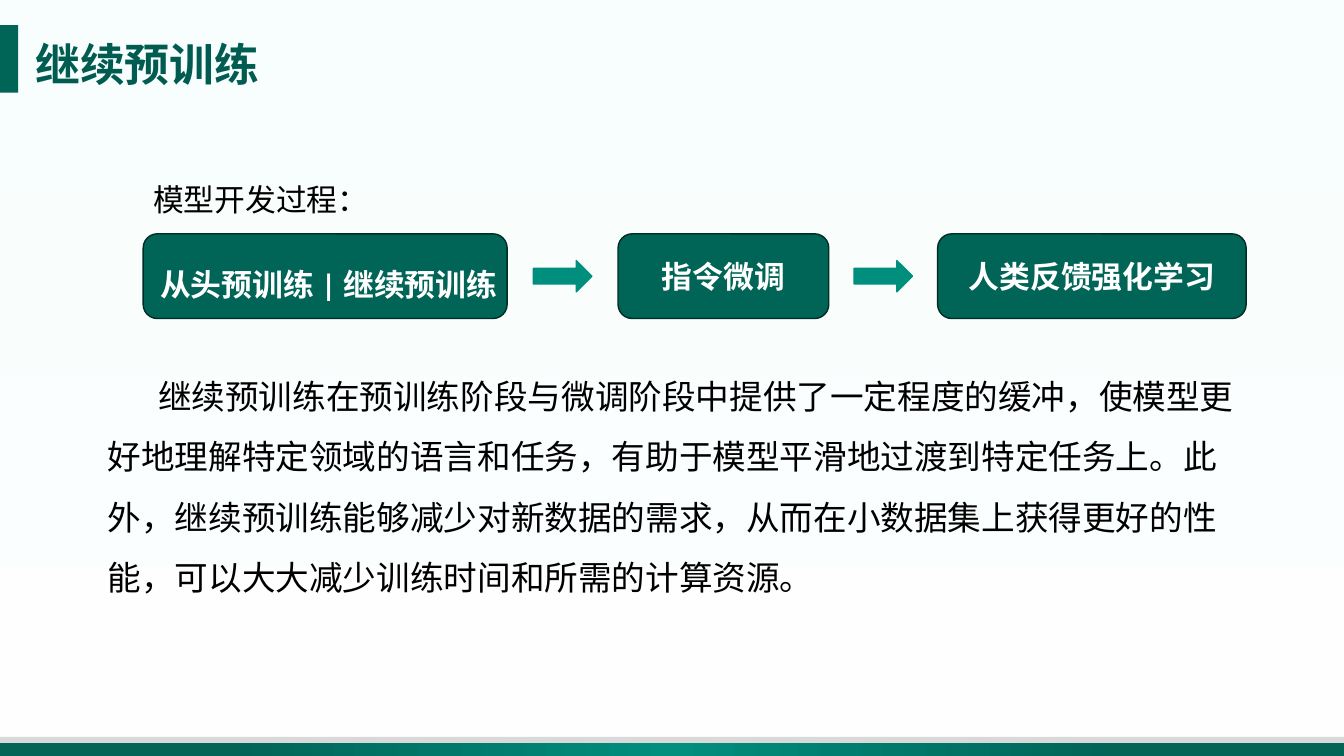
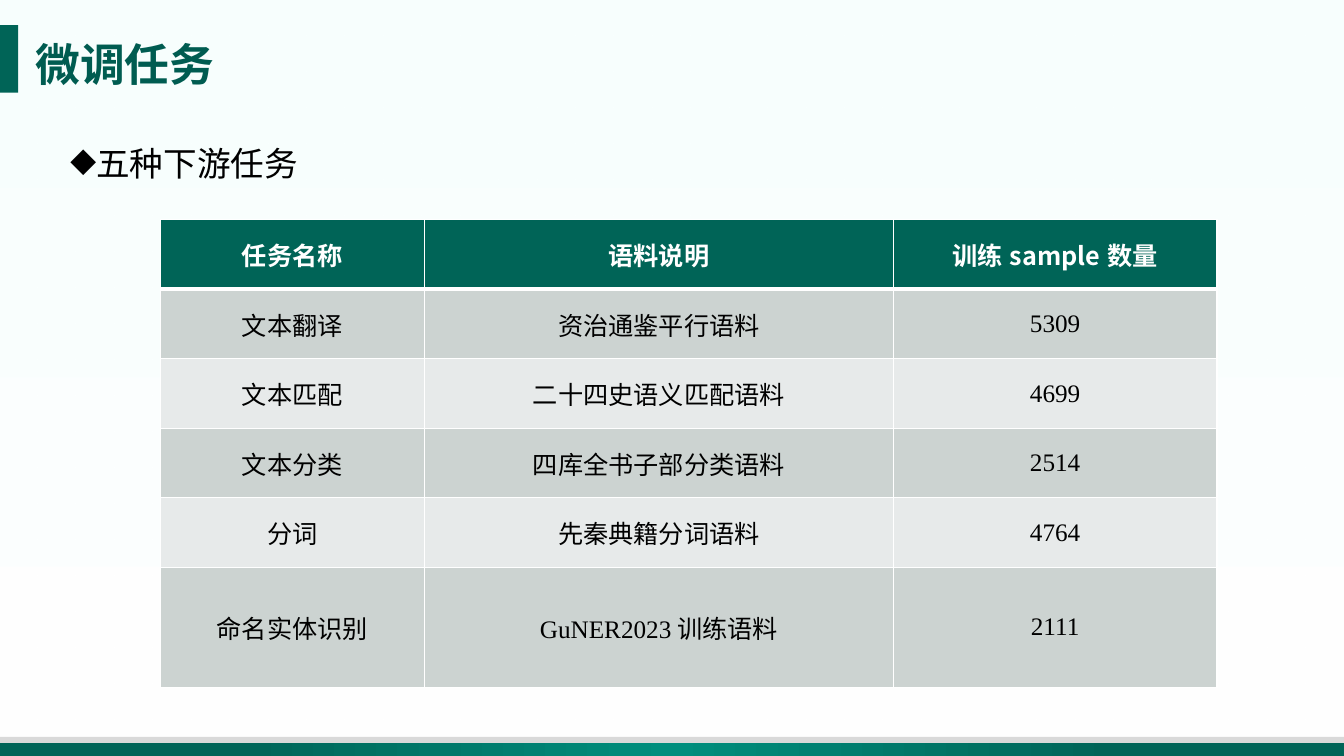
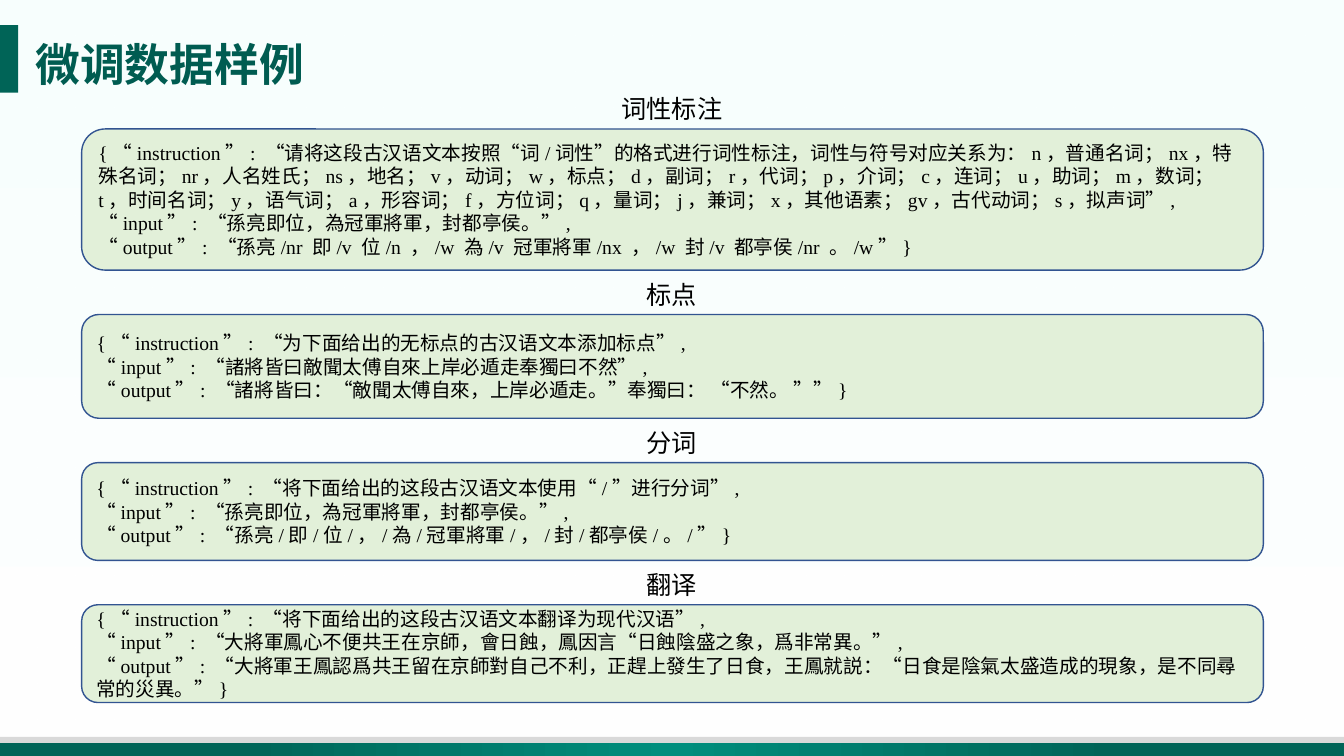
from lxml import etree
from pptx import Presentation
from pptx.dml.color import RGBColor
from pptx.enum.shapes import MSO_SHAPE
from pptx.enum.text import MSO_ANCHOR, MSO_AUTO_SIZE, PP_ALIGN
from pptx.oxml.ns import qn
from pptx.util import Inches, Pt

RECT, ROUNDED, ARROW = MSO_SHAPE.RECTANGLE, MSO_SHAPE.ROUNDED_RECTANGLE, MSO_SHAPE.RIGHT_ARROW
LEFT, CENTER = PP_ALIGN.LEFT, PP_ALIGN.CENTER
TOP, MIDDLE = MSO_ANCHOR.TOP, MSO_ANCHOR.MIDDLE
GROW = MSO_AUTO_SIZE.SHAPE_TO_FIT_TEXT

# Shared look
WIDTH, HEIGHT = 13.33, 7.5
GREEN, TEAL, TITLE_GREEN, DARK_LINE = "006457", "008E7D", "005C51", "002C26"
WHITE, BLACK, GREY = "FFFFFF", "000000", "D9D9D9"
PALE_GREEN, BLUE_LINE = "E2F0D9", "325491"
ROW_FILLS = ("CCD3D1", "E7EAEA")
SANS, BODY, SERIF = "Noto Sans CJK SC", "Calibri", "Times New Roman"

TITLE = {"size": Pt(32), "bold": True, "name": SANS, "color": TITLE_GREEN}
PROSE = {"size": Pt(24), "bold": False, "name": BODY, "color": BLACK}
BULLET = {**PROSE, "name": SANS}
LEAD = {**PROSE, "size": Pt(22)}
STEP = {**LEAD, "bold": True, "color": WHITE}
HEADING = {**BULLET, "size": Pt(18)}
TABLE_HEAD = {**HEADING, "bold": True, "color": WHITE}
TABLE_BODY = {**HEADING, "name": SERIF}
SAMPLE = {**TABLE_BODY, "size": Pt(14)}

# Slide content
STEPS = [(1.42, 3.61, ""), (6.13, 2.09, "指令微调"), (9.3, 3.06, "人类反馈强化学习")]
SUMMARY = (
    "继续预训练在预训练阶段与微调阶段中提供了一定程度的缓冲，使模型更好地理解特定领域的语言和任务，"
    "有助于模型平滑地过渡到特定任务上。此外，继续预训练能够减少对新数据的需求，"
    "从而在小数据集上获得更好的性能，可以大大减少训练时间和所需的计算资源。"
)
TASKS = [
    ("任务名称", "语料说明", "训练sample数量"),
    ("文本翻译", "资治通鉴平行语料", "5309"),
    ("文本匹配", "二十四史语义匹配语料", "4699"),
    ("文本分类", "四库全书子部分类语料", "2514"),
    ("分词", "先秦典籍分词语料", "4764"),
    ("命名实体识别", "GuNER2023训练语料", "2111"),
]
SAMPLES = [
    ("词性标注", 1.4, [
        "{“instruction”: “请将这段古汉语文本按照“词/词性”的格式进行词性标注，词性与符号对应关系为："
        "n，普通名词；nx，特殊名词；nr，人名姓氏；ns，地名；v，动词；w，标点；d，副词；r，代词；"
        "p，介词；c，连词；u，助词；m，数词；t，时间名词；y，语气词；a，形容词；f，方位词；"
        "q，量词；j，兼词；x，其他语素；gv，古代动词；s，拟声词”,",
        "“input”: “孫亮即位，為冠軍將軍，封都亭侯。”,",
        "“output”: “孫亮/nr 即/v 位/n ，/w 為/v 冠軍將軍/nx ，/w 封/v 都亭侯/nr 。/w”}",
    ]),
    ("标点", 1.03, [
        "{“instruction”: “为下面给出的无标点的古汉语文本添加标点”,",
        "“input”: “諸將皆曰敵聞太傅自來上岸必遁走奉獨曰不然”,",
        "“output”: “諸將皆曰：“敵聞太傅自來，上岸必遁走。”奉獨曰： “不然。 ””}",
    ]),
    ("分词", 0.97, [
        "{“instruction”: “将下面给出的这段古汉语文本使用“/”进行分词”,",
        "“input”: “孫亮即位，為冠軍將軍，封都亭侯。”,",
        "“output”: “孫亮/即/位/，/為/冠軍將軍/，/封/都亭侯/。/”}",
    ]),
    ("翻译", 0.97, [
        "{“instruction”: “将下面给出的这段古汉语文本翻译为现代汉语”,",
        "“input”: “大將軍鳳心不便共王在京師，會日蝕，鳳因言“日蝕陰盛之象，爲非常異。”,",
        "“output”: “大將軍王鳳認爲共王留在京師對自己不利，正趕上發生了日食，王鳳就説："
        "“日食是陰氣太盛造成的現象，是不同尋常的災異。”}",
    ]),
]


def color(value):
    return RGBColor.from_string(value)


def add_node(parent, tag, index=None, **attributes):
    """Add a DrawingML element, last or at an index."""
    node = etree.Element(qn(tag), {key: str(value) for key, value in attributes.items()})
    parent.insert(len(parent) if index is None else index, node)
    return node


def write(frame, lines, style, align=LEFT, anchor=TOP, spacing=None, indent=None, bullet=None):
    """Fill a text frame; indent is (left margin, first line) in inches."""
    frame.vertical_anchor = anchor
    for number, line in enumerate(lines):
        para = frame.paragraphs[0] if number == 0 else frame.add_paragraph()
        para.alignment = align
        if spacing:
            para.line_spacing = spacing
        properties = para._p.get_or_add_pPr()
        if indent:
            for key, length in zip(("marL", "indent"), indent):
                properties.set(key, str(Inches(length)))
        if bullet:
            add_node(properties, "a:buChar", char=bullet)
        span = para.add_run()
        span.text = line
        for key, value in style.items():
            if key == "color":
                span.font.color.rgb = color(value)
            else:
                setattr(span.font, key, value)
        add_node(span.font._element, "a:ea", typeface=SANS)


def add_text(page, place, text, style, **layout):
    box = page.shapes.add_textbox(*map(Inches, place))
    box.text_frame.word_wrap = True
    box.text_frame.auto_size = GROW
    write(box.text_frame, [text], style, **layout)


def add_box(page, kind, place, fill, line=None):
    box = page.shapes.add_shape(kind, *map(Inches, place))
    box.shadow.inherit = False
    box.fill.solid()
    box.fill.fore_color.rgb = color(fill)
    if line:
        box.line.color.rgb = color(line)
        box.line.width = Pt(1)
    else:
        box.line.fill.background()
    return box


def set_gradient(box, stops, angle):
    """Replace a solid fill by stops of (position %, colour, opacity %)."""
    solid = box._element.spPr.find(qn("a:solidFill"))
    gradient = etree.Element(qn("a:gradFill"), rotWithShape="1")
    stop_list = add_node(gradient, "a:gsLst")
    for position, value, opacity in stops:
        stop = add_node(stop_list, "a:gs", pos=position * 1000)
        shade = add_node(stop, "a:srgbClr", val=value)
        if opacity < 100:
            add_node(shade, "a:alpha", val=opacity * 1000)
    add_node(gradient, "a:lin", ang=angle * 60000, scaled=0)
    solid.getparent().replace(solid, gradient)


def decorate_layout(page):
    """Draw the backdrop, bands and title mark, then move them to the layout."""
    backdrop = add_box(page, RECT, (0, 0, WIDTH, HEIGHT), WHITE)
    set_gradient(backdrop, [(0, "F7FFFE", 83), (100, WHITE, 90)], 90)
    rule = add_box(page, RECT, (0, 7.31, WIDTH, 0.07), GREY)
    band = add_box(page, RECT, (0, 7.37, WIDTH, 0.13), GREEN)
    set_gradient(band, [(17, GREEN, 100), (50, TEAL, 100), (83, GREEN, 100)], 0)
    mark = add_box(page, RECT, (0, 0.25, 0.18, 0.67), GREEN)
    for index, box in enumerate((backdrop, rule, band, mark), start=2):
        page.slide_layout.shapes.element.insert(index, box.element)


def add_page(deck, title):
    page = deck.slides.add_slide(deck.slide_layouts[5])
    box = page.shapes.title
    place = (0.25, 0.37, 0.2 + 0.45 * len(title), 0.59)
    for key, length in zip(("left", "top", "width", "height"), place):
        setattr(box, key, Inches(length))
    box.text_frame.word_wrap = False
    box.text_frame.auto_size = GROW
    write(box.text_frame, [title], TITLE, anchor=MIDDLE, spacing=0.9)
    return page


def add_steps(page, top=2.32, height=0.84):
    """Draw the process boxes with an arrow centred in each gap."""
    for left, width, label in STEPS:
        box = add_box(page, ROUNDED, (left, top, width, height), GREEN, DARK_LINE)
        if label:
            write(box.text_frame, [label], STEP, align=CENTER, anchor=MIDDLE)
    length, thickness = 0.58, 0.31
    for (left, width, _), (following, _, _) in zip(STEPS, STEPS[1:]):
        start = (left + width + following - length) / 2
        place = (start, top + (height - thickness) / 2, length, thickness)
        add_box(page, ARROW, place, TEAL, TEAL)


def set_borders(cell, widths):
    """Draw white borders; widths are left, right, top, bottom in points."""
    properties = cell._tc.get_or_add_tcPr()
    for index, (side, width) in enumerate(zip("LRTB", widths)):
        line = add_node(properties, f"a:ln{side}", index, w=Pt(width))
        add_node(add_node(line, "a:solidFill"), "a:srgbClr", val=WHITE)


def add_task_table(page):
    widths, heights = (2.62, 4.65, 3.21), [0.69] * 5 + [1.19]
    place = (1.59, 2.18, sum(widths), sum(heights))
    table = page.shapes.add_table(len(heights), len(widths), *map(Inches, place)).table
    for column, width in zip(table.columns, widths):
        column.width = Inches(width)
    for row_number, (row, height, texts) in enumerate(zip(table.rows, heights, TASKS)):
        row.height = Inches(height)
        is_head = row_number == 0
        for cell, text in zip(row.cells, texts):
            cell.fill.solid()
            cell.fill.fore_color.rgb = color(GREEN if is_head else ROW_FILLS[(row_number - 1) % 2])
            cell.vertical_anchor = MIDDLE
            write(cell.text_frame, [text], TABLE_HEAD if is_head else TABLE_BODY,
                  align=CENTER, anchor=MIDDLE)
            set_borders(cell, (1, 1, 3 if row_number == 1 else 1, 3 if is_head else 1))


def add_samples(page, top=1.28, gap=0.44):
    """Stack the sample boxes, each with a heading in the gap above."""
    for heading, height, lines in SAMPLES:
        box = add_box(page, ROUNDED, (0.81, top, 11.72, height), PALE_GREEN, BLUE_LINE)
        write(box.text_frame, lines, SAMPLE, anchor=MIDDLE)
        add_text(page, (5.96, top - 0.4, 1.41, 0.4), heading, HEADING, align=CENTER)
        top += height + gap


def main():
    deck = Presentation()
    deck.slide_width, deck.slide_height = Inches(WIDTH), Inches(HEIGHT)

    # Continued pre-training
    page = add_page(deck, "继续预训练")
    decorate_layout(page)
    add_text(page, (0.97, 3.48, 11.4, 2.46), SUMMARY, PROSE, spacing=1.5, indent=(0, 0.5))
    add_steps(page)
    add_text(page, (1.42, 1.56, 2.34, 0.6), "模型开发过程：", LEAD, spacing=1.5)
    add_text(page, (1.49, 2.4, 3.71, 0.59), "从头预训练|继续预训练", STEP, spacing=1.5)

    # Fine-tuning tasks
    page = add_page(deck, "微调任务")
    add_text(page, (0.6, 1.29, 12.12, 0.6), "五种下游任务", BULLET,
             spacing=1.2, indent=(0.25, -0.25), bullet="◆")
    add_task_table(page)

    # Fine-tuning samples
    page = add_page(deck, "微调数据样例")
    add_samples(page)

    deck.save("out.pptx")


if __name__ == "__main__":
    main()
